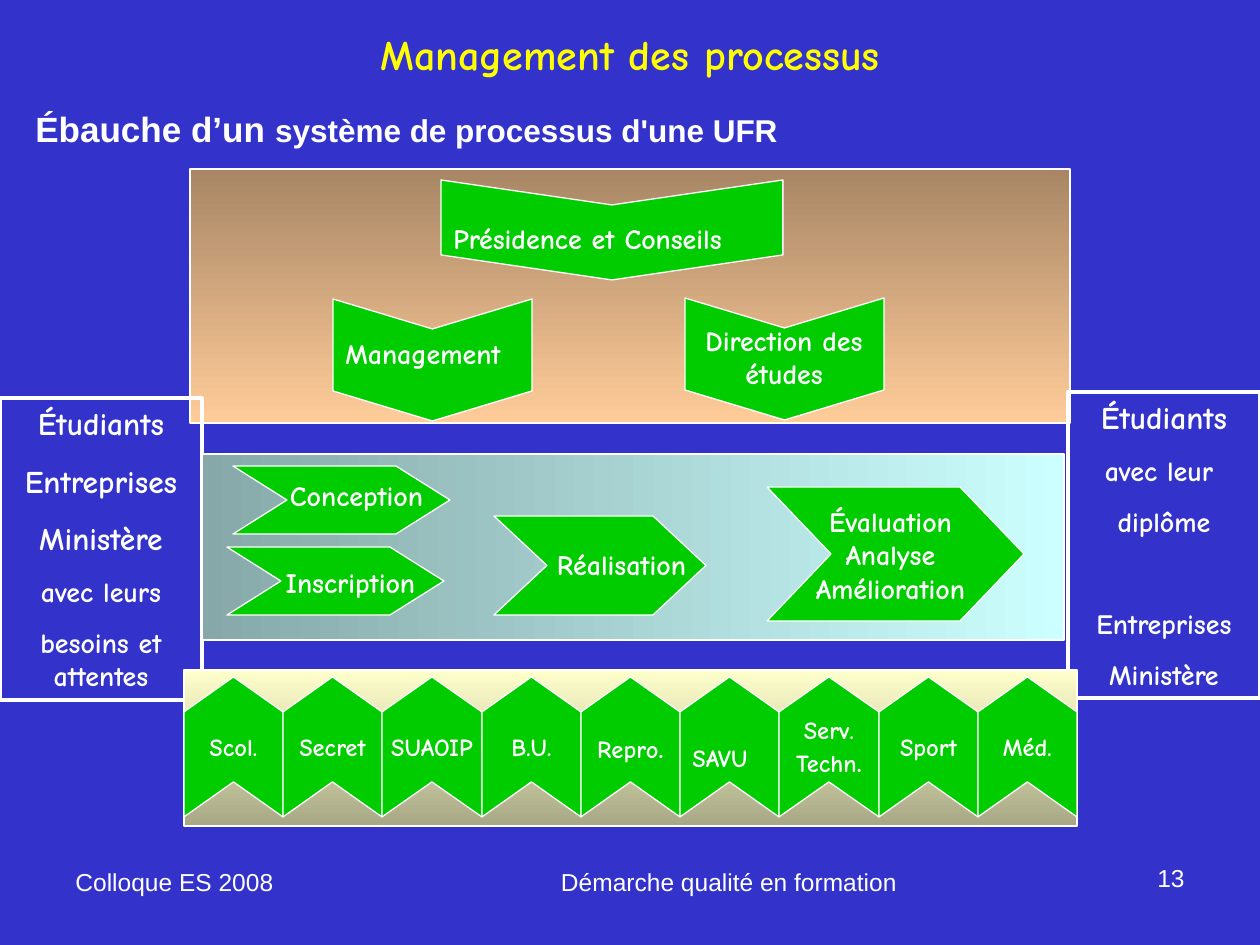
from dataclasses import dataclass
from typing import NamedTuple

from pptx import Presentation
from pptx.dml.color import RGBColor
from pptx.enum.shapes import MSO_SHAPE as Preset
from pptx.enum.text import MSO_ANCHOR as Anchor, PP_ALIGN as Align
from pptx.util import Emu, Pt

EMU_PER_PX = 914400 / 126
COLORS = {
    "background": "3333CC", "title": "FFFF00", "white": "FFFFFF", "process": "00CC00",
    "brown": "A88665", "peach": "FFCC99", "ice": "CCFFFF", "teal": "86A8A8",
    "cream": "FFFFCC", "olive": "A8A886",
}
COMIC, ARIAL = "Comic Neue", "Arial"


class Box(NamedTuple):
    left: int
    top: int
    width: int
    height: int


class Run(NamedTuple):
    text: str
    size: int = 16


@dataclass(frozen=True)
class Para:
    runs: tuple[Run, ...]
    before: float = 0


@dataclass(frozen=True)
class Style:
    font: str = COMIC
    bold: bool = True
    color: str = "white"
    align: Align = Align.CENTER
    anchor: Anchor = Anchor.TOP
    wrap: bool = True


@dataclass(frozen=True)
class Band:
    box: Box
    start: str
    end: str
    angle: int


@dataclass(frozen=True)
class Process:
    box: Box
    depth: int
    heading: str


@dataclass(frozen=True)
class Label:
    box: Box
    paras: tuple[Para, ...]
    style: Style = Style()


def px(length: int) -> Emu:
    return Emu(round(length * EMU_PER_PX))


def rgb(name: str) -> RGBColor:
    return RGBColor.from_string(COLORS[name])


def para(text: str, size: int = 16, before: float = 0) -> Para:
    return Para((Run(text, size),), before)


def write(shape, paras: tuple[Para, ...], style: Style) -> None:
    frame = shape.text_frame
    frame.word_wrap = style.wrap
    frame.vertical_anchor = style.anchor
    for index, content in enumerate(paras):
        paragraph = frame.add_paragraph() if index else frame.paragraphs[0]
        paragraph.alignment = style.align
        paragraph.space_before = Pt(content.before)
        for text, size in content.runs:
            run = paragraph.add_run()
            run.text = text
            run.font.size = Pt(size)
            run.font.name = style.font
            run.font.bold = style.bold
            run.font.color.rgb = rgb(style.color)


def outline(shape, width: float = 0.75) -> None:
    shape.shadow.inherit = False
    shape.line.color.rgb = rgb("white")
    shape.line.width = Pt(width)


def add_label(slide, label: Label) -> None:
    write(slide.shapes.add_textbox(*map(px, label.box)), label.paras, label.style)


def add_band(slide, band: Band) -> None:
    shape = slide.shapes.add_shape(Preset.RECTANGLE, *map(px, band.box))
    shape.fill.gradient()
    shape.fill.gradient_angle = band.angle
    for stop, color, position in zip(shape.fill.gradient_stops, (band.start, band.end), (0, 1)):
        stop.color.rgb = rgb(color)
        stop.position = position
    outline(shape)


def add_actors(slide, actors: Label) -> None:
    shape = slide.shapes.add_shape(Preset.RECTANGLE, *map(px, actors.box))
    shape.fill.background()
    outline(shape, 2.25)
    write(shape, actors.paras, actors.style)


def add_process(slide, process: Process):
    """Draw a notched arrow whose tip points right, down or up."""
    left, top, width, height = process.box
    vertical = process.heading != "right"
    length, breadth = (height, width) if vertical else (width, height)
    along_across = [
        (0, 0), (length - process.depth, 0), (length, breadth / 2),
        (length - process.depth, breadth), (0, breadth), (process.depth, breadth / 2),
    ]
    if process.heading == "up":
        along_across = [(length - along, across) for along, across in along_across]
    points = [
        (px(left + across), px(top + along)) if vertical else (px(left + along), px(top + across))
        for along, across in along_across
    ]
    builder = slide.shapes.build_freeform(*points[0])
    builder.add_line_segments(points[1:], close=True)
    shape = builder.convert_to_shape()
    shape.fill.solid()
    shape.fill.fore_color.rgb = rgb("process")
    outline(shape)
    return shape


LEFT = Style(align=Align.LEFT)
FOOTER = Style(ARIAL, bold=False)
HEADINGS = [
    Label(Box(0, 0, 1260, 107), (para("Management des processus", 24),),
          Style(color="title", anchor=Anchor.MIDDLE)),
    Label(Box(23, 101, 1184, 62),
          (Para((Run("Ébauche d’un ", 20), Run("système de processus d'une UFR", 18))),),
          Style(ARIAL, align=Align.LEFT)),
]
STEERING_BAND = Band(Box(190, 169, 880, 254), "brown", "peach", 270)
STEERING = [
    (Process(Box(333, 299, 199, 122), 30, "down"),
     Label(Box(333, 330, 205, 47), (para("Management"),), LEFT)),
    (Process(Box(685, 298, 199, 122), 30, "down"),
     Label(Box(685, 317, 198, 81), (para("Direction des études"),))),
    (Process(Box(441, 180, 342, 100), 25, "down"),
     Label(Box(441, 215, 354, 47), (para("Présidence et Conseils"),), LEFT)),
]
ACTORS = [
    Label(Box(0, 398, 202, 302), (
        para("Étudiants", 18), para("Entreprises", 18, 11.2), para("Ministère", 18, 11.2),
        para("avec leurs", before=10), para("besoins et attentes", before=10))),
    Label(Box(1068, 392, 192, 306), (
        para("Étudiants", 18), para("avec leur ", before=10), para("diplôme", before=10),
        para("Entreprises", before=39), para("Ministère", before=10))),
]
REALISATION_BAND = Band(Box(202, 454, 862, 186), "ice", "teal", 180)
REALISATION = [
    (Process(Box(233, 466, 217, 68), 54, "right"),
     Label(Box(258, 472, 197, 47), (para("Conception"),))),
    (Process(Box(494, 516, 212, 99), 53, "right"),
     Label(Box(525, 541, 193, 47), (para("Réalisation"),))),
    (Process(Box(767, 487, 257, 134), 64, "right"),
     Label(Box(772, 498, 237, 113),
           (para("Évaluation"), para("Analyse"), para("Amélioration")))),
    (Process(Box(227, 547, 217, 68), 54, "right"),
     Label(Box(252, 559, 197, 47), (para("Inscription"),))),
]
SUPPORT_BAND = Band(Box(184, 670, 893, 156), "cream", "olive", 270)
SUPPORT_STYLE = Style(anchor=Anchor.MIDDLE, wrap=False)
SUPPORT = [
    (para("Scol.", 14),),
    (para("Secret", 14),),
    (para("SUAOIP", 14),),
    (para("B.U.", 14),),
    (Para((Run("Repro", 14), Run("."))),),
    (),
    (para("Serv.", 14), Para((Run("Techn", 14), Run(".")))),
    (para("Sport", 14),),
    (para("Méd.", 14),),
]
SAVU = Label(Box(680, 737, 82, 43), (para("SAVU", 14),), Style(align=Align.LEFT, wrap=False))
FOOTERS = [
    Label(Box(431, 861, 596, 65), (para("Démarche qualité en formation", 14),), FOOTER),
    Label(Box(1089, 857, 108, 65), (para("13", 14),),
          Style(ARIAL, bold=False, align=Align.RIGHT)),
    Label(Box(63, 861, 294, 65), (para("Colloque ES 2008", 14),),
          Style(ARIAL, bold=False, align=Align.LEFT)),
]


def add_stage(slide, band: Band, steps: list[tuple[Process, Label]]) -> None:
    add_band(slide, band)
    for process, label in steps:
        add_process(slide, process)
        add_label(slide, label)


def add_support(slide) -> None:
    add_band(slide, SUPPORT_BAND)
    left, _, width, _ = SUPPORT_BAND.box
    edges = [left + round(i * width / len(SUPPORT)) for i in range(len(SUPPORT) + 1)]
    for start, end, service in zip(edges, edges[1:], SUPPORT):
        arrow = add_process(slide, Process(Box(start, 677, end - start, 140), 35, "up"))
        if service:
            write(arrow, service, SUPPORT_STYLE)
    add_label(slide, SAVU)


def main() -> None:
    deck = Presentation()
    deck.slide_width, deck.slide_height = px(1260), px(945)
    slide = deck.slides.add_slide(deck.slide_layouts[6])
    slide.background.fill.solid()
    slide.background.fill.fore_color.rgb = rgb("background")
    for heading in HEADINGS:
        add_label(slide, heading)
    add_stage(slide, STEERING_BAND, STEERING)
    for actors in ACTORS:
        add_actors(slide, actors)
    add_support(slide)
    add_stage(slide, REALISATION_BAND, REALISATION)
    for footer in FOOTERS:
        add_label(slide, footer)
    deck.save("out.pptx")


if __name__ == "__main__":
    main()
